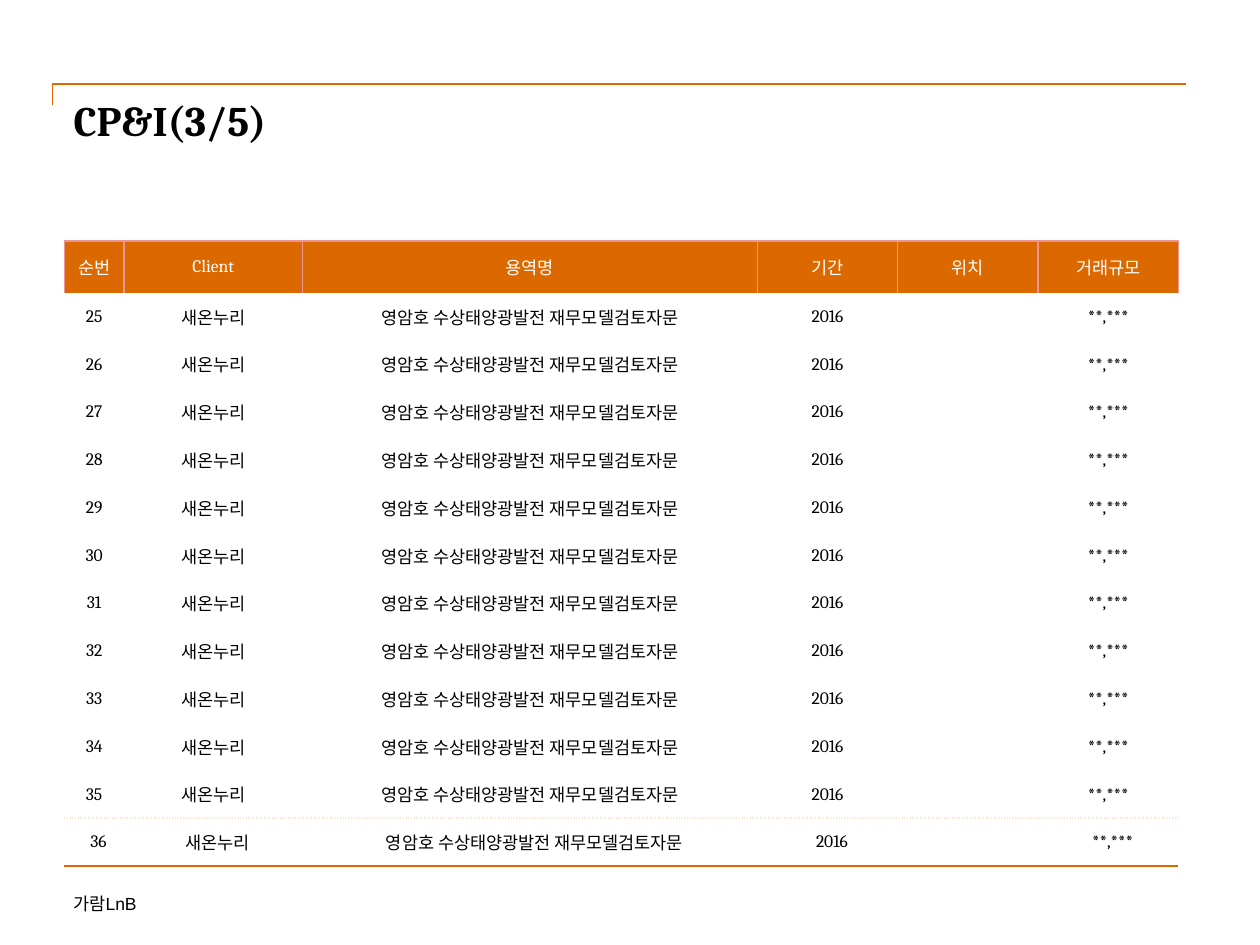
"""Build the CP&I project record slide with its table of engagements."""
from dataclasses import dataclass
from typing import Optional

from lxml import etree
from pptx import Presentation
from pptx.dml.color import RGBColor
from pptx.enum.shapes import MSO_CONNECTOR
from pptx.enum.text import MSO_ANCHOR, MSO_AUTO_SIZE, PP_ALIGN
from pptx.oxml.ns import qn
from pptx.slide import Slide
from pptx.table import _Cell
from pptx.text.text import TextFrame
from pptx.util import Pt

ELBOW = MSO_CONNECTOR.ELBOW
TOP, MIDDLE = MSO_ANCHOR.TOP, MSO_ANCHOR.MIDDLE
LEFT, CENTER = PP_ALIGN.LEFT, PP_ALIGN.CENTER
FIXED = MSO_AUTO_SIZE.NONE
PLAIN_STYLE = "{2D5ABB26-0587-4C30-8999-92F81FD0307C}"


@dataclass(frozen=True)
class Theme:
    accent: str = "DC6900"
    rose: str = "EA9696"
    cream: str = "FFE1C5"
    ink: str = "000000"
    white: str = "FFFFFF"
    serif: str = "Cambria"
    sans: str = "Arial"
    title: float = 24
    body: float = 10


@dataclass(frozen=True)
class Font:
    name: str
    size: float
    color: str
    bold: bool = False


@dataclass(frozen=True)
class Edge:
    color: str
    dash: str = "solid"


@dataclass(frozen=True)
class Look:
    font: Font
    left: Optional[Edge] = None
    right: Optional[Edge] = None
    top: Optional[Edge] = None
    base: Optional[Edge] = None
    fill: Optional[str] = None
    inset: float = 0
    indent: float = 0


@dataclass(frozen=True)
class Column:
    head: str
    width: float
    value: str


THEME = Theme()
HEAD_FONT = Font(THEME.serif, THEME.body, THEME.white)
BODY_FONT = Font(THEME.serif, THEME.body, THEME.ink)
ROSE = Edge(THEME.rose)
DOTS = Edge(THEME.cream, "sysDot")
RULE = Edge(THEME.accent)
HEAD = Look(HEAD_FONT, left=ROSE, right=ROSE, top=ROSE, fill=THEME.accent, inset=3)
BODY = Look(BODY_FONT, right=DOTS)
BODY_END = Look(BODY_FONT)
LAST = Look(BODY_FONT, top=DOTS, base=RULE, indent=5)

FIRST_NO, LAST_NO = 25, 36
HEAD_HIGH, ROW_HIGH = 29.5, 27.3
COLUMNS = [
    Column("순번", 34, "{no}"),
    Column("Client", 102, "새온누리"),
    Column("용역명", 260, "영암호 수상태양광발전 재무모델검토자문"),
    Column("기간", 80.2, "2016"),
    Column("위치", 80.2, ""),
    Column("거래규모", 80.2, "**,***"),
]


def set_text(frame: TextFrame, text: str, font: Font, align: PP_ALIGN) -> None:
    """Write one paragraph and format its runs."""
    frame.text = text
    para = frame.paragraphs[0]
    para.alignment = align
    for run in para.runs:
        run.font.name = font.name
        run.font.size = Pt(font.size)
        run.font.bold = font.bold
        run.font.color.rgb = RGBColor.from_string(font.color)


def set_frame(frame: TextFrame) -> None:
    """Clear the insets and fix the size of a text frame."""
    frame.margin_left = frame.margin_right = 0
    frame.margin_top = frame.margin_bottom = 0
    frame.vertical_anchor = TOP
    frame.word_wrap = True
    frame.auto_size = FIXED


def add_edge(cell: _Cell, tag: str, edge: Optional[Edge]) -> None:
    """Draw one border of a cell, or leave it blank."""
    props = cell._tc.get_or_add_tcPr()
    line = etree.SubElement(props, qn(tag), w=str(Pt(1)))
    if edge is None:
        etree.SubElement(line, qn("a:noFill"))
        return
    solid = etree.SubElement(line, qn("a:solidFill"))
    etree.SubElement(solid, qn("a:srgbClr"), val=edge.color)
    etree.SubElement(line, qn("a:prstDash"), val=edge.dash)


def fill_cell(cell: _Cell, text: str, look: Look) -> None:
    """Set the text, borders and fill of one cell."""
    cell.margin_left = cell.margin_right = Pt(look.inset)
    cell.margin_top = cell.margin_bottom = Pt(look.inset)
    cell.vertical_anchor = MIDDLE
    set_text(cell.text_frame, text, look.font, CENTER)
    if look.indent:
        para = cell.text_frame.paragraphs[0]
        para._p.get_or_add_pPr().set("marL", str(Pt(look.indent)))
    add_edge(cell, "a:lnL", look.left)
    add_edge(cell, "a:lnR", look.right)
    add_edge(cell, "a:lnT", look.top)
    add_edge(cell, "a:lnB", look.base)
    if look.fill:
        cell.fill.solid()
        cell.fill.fore_color.rgb = RGBColor.from_string(look.fill)
    else:
        cell.fill.background()


def add_rule(slide: Slide) -> None:
    """Draw the bent rule above the title."""
    rule = slide.shapes.add_connector(ELBOW, Pt(360), Pt(378), Pt(348), Pt(-270))
    rule.line.color.rgb = RGBColor.from_string(THEME.accent)
    rule.line.width = Pt(1)
    props = rule.element.spPr
    props.find(qn("a:xfrm")).set("rot", str(90 * 60000))
    props.find(qn("a:prstGeom")).set("prst", "bentConnector2")
    etree.SubElement(props, qn("a:effectLst"))


def add_title(slide: Slide) -> None:
    """Place and format the title."""
    title = slide.shapes.title
    title.left, title.top, title.width, title.height = Pt(42), Pt(54), Pt(636), Pt(72)
    set_frame(title.text_frame)
    font = Font(THEME.serif, THEME.title, THEME.ink, True)
    set_text(title.text_frame, "CP&I(3/5)", font, LEFT)


def add_footer(slide: Slide) -> None:
    """Write the firm name at the foot."""
    box = slide.shapes.add_textbox(Pt(42), Pt(510), Pt(204), Pt(12))
    set_frame(box.text_frame)
    font = Font(THEME.sans, THEME.body, THEME.ink)
    set_text(box.text_frame, "가람LnB", font, LEFT)


def add_record(slide: Slide) -> None:
    """Build the table of engagements."""
    count = LAST_NO - FIRST_NO + 1
    width = sum(col.width for col in COLUMNS)
    high = HEAD_HIGH + count * ROW_HIGH
    frame = slide.shapes.add_table(
        count + 1, len(COLUMNS), Pt(36.8), Pt(137.8), Pt(width), Pt(high))
    frame.element.find(".//" + qn("a:tableStyleId")).text = PLAIN_STYLE
    table = frame.table
    table.horz_banding = False
    for index, row in enumerate(table.rows):
        row.height = Pt(ROW_HIGH if index else HEAD_HIGH)
    for index, col in enumerate(COLUMNS):
        table.columns[index].width = Pt(col.width)
        fill_cell(table.cell(0, index), col.head, HEAD)
        body = BODY_END if col is COLUMNS[-1] else BODY
        for row, no in enumerate(range(FIRST_NO, LAST_NO + 1), 1):
            look = LAST if no == LAST_NO else body
            fill_cell(table.cell(row, index), col.value.format(no=no), look)


def main() -> None:
    """Assemble and save the slide."""
    deck = Presentation()
    deck.slide_width, deck.slide_height = Pt(720), Pt(540)
    slide = deck.slides.add_slide(deck.slide_layouts[5])
    add_rule(slide)
    add_footer(slide)
    add_title(slide)
    add_record(slide)
    deck.save("out.pptx")


if __name__ == "__main__":
    main()
